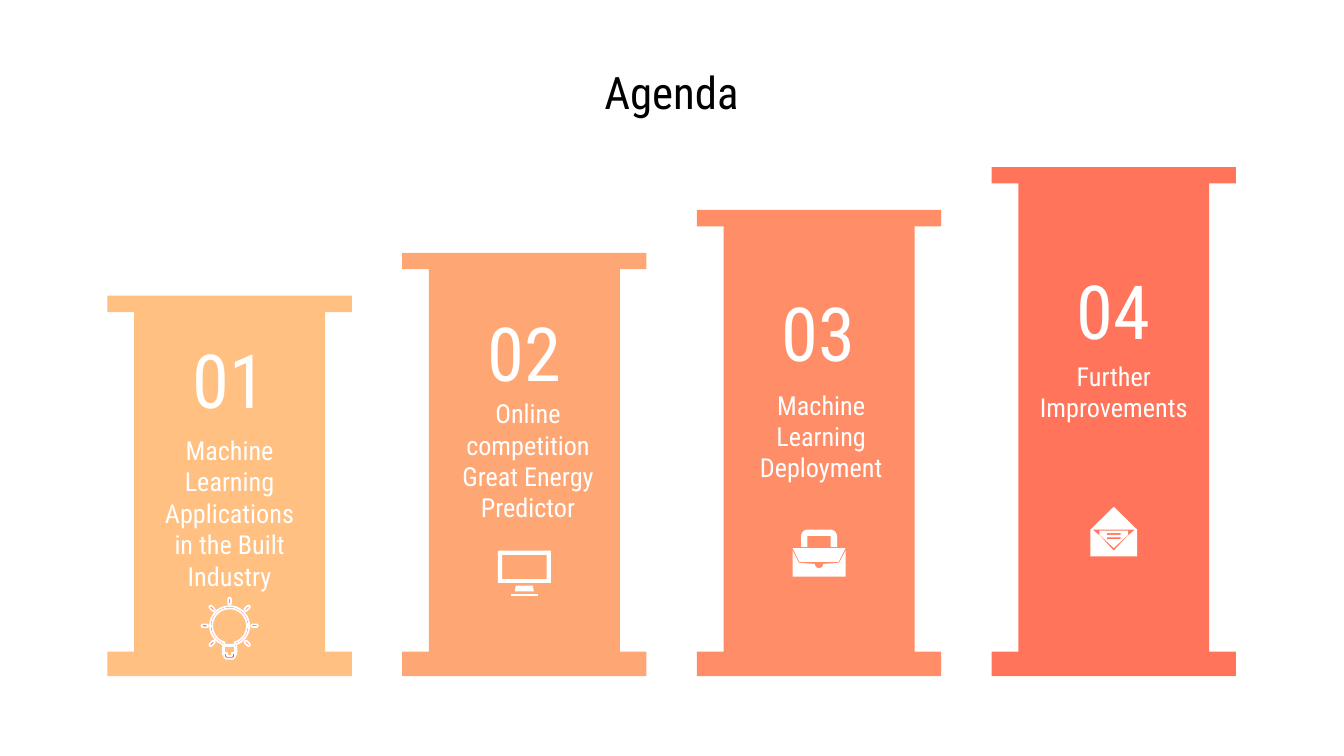
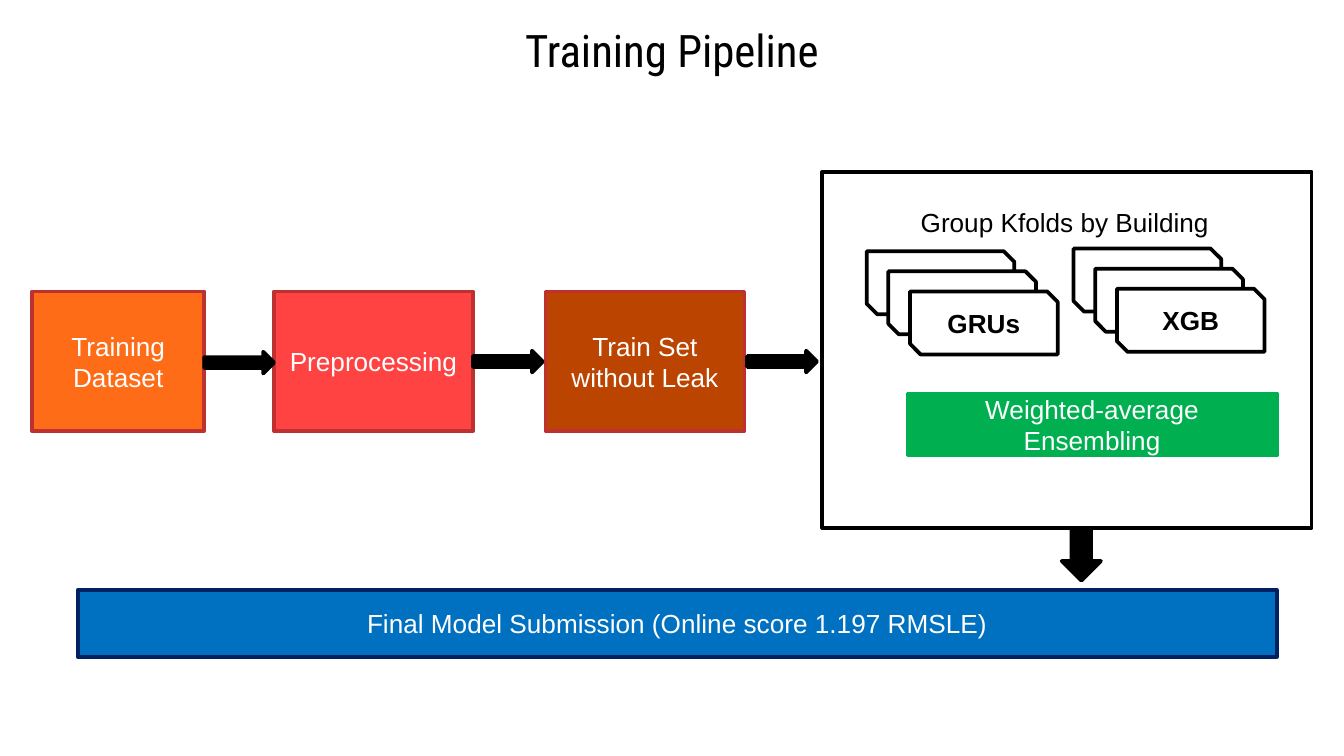
from dataclasses import dataclass
from math import cos, radians, sin

from lxml.etree import SubElement
from pptx import Presentation
from pptx.dml.color import RGBColor
from pptx.enum.shapes import MSO_SHAPE
from pptx.enum.text import MSO_ANCHOR, PP_ALIGN
from pptx.oxml.ns import qn
from pptx.shapes.autoshape import Shape
from pptx.slide import Slide
from pptx.util import Cm, Pt

Points = list[tuple[float, float]]


@dataclass(frozen=True)
class Theme:
    head: str = "Roboto Condensed"
    body: str = "Arial"
    title_size: int = 24
    digit_size: int = 40
    text_size: int = 14
    black: str = "000000"
    white: str = "FFFFFF"
    red: str = "FF4242"
    orange: str = "FF6C17"
    brown: str = "BA4400"
    edge: str = "BD3131"
    green: str = "00B050"
    blue: str = "0070C0"
    navy: str = "002060"
    steps: tuple[str, ...] = ("FFC081", "FFA774", "FF8E68", "FF745B")


THEME = Theme()


@dataclass(frozen=True)
class Box:
    left: float
    top: float
    width: float
    height: float


@dataclass(frozen=True)
class Style:
    font: str
    size: int
    color: str
    bold: bool = False
    align: PP_ALIGN = PP_ALIGN.CENTER


@dataclass(frozen=True)
class Pillar:
    label: str
    digit_top: float
    label_top: float
    label_width: float
    shift: float = 0


@dataclass(frozen=True)
class Block:
    text: str
    box: Box
    fill: str
    line: str


@dataclass(frozen=True)
class Stack:
    text: str
    left: float
    top: float


TITLE = Style(THEME.head, THEME.title_size, THEME.black)
DIGIT = Style(THEME.head, THEME.digit_size, THEME.white)
LABEL = Style(THEME.head, THEME.text_size, THEME.white)
LIGHT = Style(THEME.body, THEME.text_size, THEME.white)
DARK = Style(THEME.body, THEME.text_size, THEME.black, align=PP_ALIGN.LEFT)
STRONG = Style(THEME.body, THEME.text_size, THEME.black, bold=True)

PILLARS = (
    Pillar("Machine Learning Applications in the Built Industry", 6.63, 9.35, 3.35),
    Pillar("Online competition Great Energy Predictor", 6.12, 8.36, 3.35, 0.07),
    Pillar("Machine Learning Deployment", 5.74, 7.9, 3.73, 0.04),
    Pillar("Further Improvements", 5.31, 7.06, 3.81),
)
FIRST, PITCH = 4.34, 5.57
CAP_TOP, RISE, CAP_HIGH = 5.59, 0.81, 0.31
CAP_WIDE, SHAFT_WIDE = 4.62, 3.61
BASE_TOP, BASE_HIGH = 12.32, 0.46

BLOCKS = (
    Block("Training Dataset", Box(0.61, 5.51, 3.25, 2.64), THEME.orange, THEME.edge),
    Block("Preprocessing", Box(5.18, 5.51, 3.76, 2.64), THEME.red, THEME.edge),
    Block("Train Set without Leak", Box(10.31, 5.51, 3.76, 2.64), THEME.brown, THEME.edge),
    Block("", Box(15.54, 3.25, 9.25, 6.73), THEME.white, THEME.black),
    Block("Weighted-average Ensembling", Box(17.15, 7.44, 6.98, 1.17), THEME.green, THEME.green),
    Block("Final Model Submission (Online score 1.197 RMSLE)",
          Box(1.47, 11.15, 22.66, 1.27), THEME.blue, THEME.navy),
)
STACKS = (Stack("GRUs", 16.38, 4.75), Stack("XGB", 20.29, 4.7))
ARROWS = ((3.86, 6.65), (8.94, 6.63), (14.12, 6.63))


def paint(shape: Shape, fill: str, line: str = "", weight: float = 2) -> None:
    shape.shadow.inherit = False
    shape.fill.solid()
    shape.fill.fore_color.rgb = RGBColor.from_string(fill)
    if not line:
        shape.line.fill.background()
        return
    shape.line.color.rgb = RGBColor.from_string(line)
    shape.line.width = Pt(weight)
    SubElement(shape.line._get_or_add_ln(), qn("a:round"))


def write(shape: Shape, text: str, style: Style) -> None:
    frame = shape.text_frame
    frame.word_wrap = True
    para = frame.paragraphs[0]
    para.alignment = style.align
    run = para.add_run()
    run.text = text
    run.font.name = style.font
    run.font.size = Pt(style.size)
    run.font.bold = style.bold
    run.font.color.rgb = RGBColor.from_string(style.color)


def place(box: Box) -> tuple[Cm, Cm, Cm, Cm]:
    return Cm(box.left), Cm(box.top), Cm(box.width), Cm(box.height)


def add_form(slide: Slide, kind: MSO_SHAPE, box: Box, fill: str,
             line: str = "", weight: float = 2) -> Shape:
    shape = slide.shapes.add_shape(kind, *place(box))
    paint(shape, fill, line, weight)
    return shape


def add_text(slide: Slide, box: Box, text: str, style: Style) -> None:
    """Add a box with equal insets and text centred in its height."""
    shape = slide.shapes.add_textbox(*place(box))
    write(shape, text, style)
    frame = shape.text_frame
    frame.vertical_anchor = MSO_ANCHOR.MIDDLE
    frame.margin_left = frame.margin_right = Cm(0.25)
    frame.margin_top = frame.margin_bottom = Cm(0.25)


def arc(mid: float, radius: float, start: int, end: int, x: float = 0) -> Points:
    """Points along an arc; angles in degrees, clockwise from the right."""
    count = max(6, (end - start) // 10)
    turns = [radians(start + (end - start) * i / count) for i in range(count + 1)]
    return [(x + radius * cos(t), mid + radius * sin(t)) for t in turns]


def band(top: float, low: float, wide: float, foot: float = 0) -> Points:
    """A centred bar, or a trapezoid when the foot has its own half-width."""
    foot = foot or wide
    return [(-wide, top), (-foot, low), (foot, low), (wide, top)]


def flip(half: Points) -> Points:
    """Close a right half with its mirror image."""
    return half + [(-x, y) for x, y in reversed(half)]


def draw(slide: Slide, mid: float, loops: list[Points],
         fill: str = THEME.white, line: str = "") -> None:
    """Draw closed loops around a vertical axis; inner loops are holes."""
    paths = [[(Cm(mid + x), Cm(y)) for x, y in loop] for loop in loops]
    pen = slide.shapes.build_freeform(*paths[0][0])
    for i, path in enumerate(paths):
        if i:
            pen.move_to(*path[0])
        pen.add_line_segments(path[1:], close=True)
    paint(pen.convert_to_shape(), fill, line, 1)


def add_bulb(slide: Slide, mid: float) -> None:
    heart = 11.83
    glass = arc(heart, 0.37, 110, 430) + flip(
        [(0.13, 12.37), (0.1, 12.37), (0.1, 12.42), (0.07, 12.45)])
    hollow = arc(heart, 0.33, 107, 433) + [(0.1, 12.19), (-0.1, 12.19)]
    screw = flip([(0.1, 12.22), (0.1, 12.34), (0.05, 12.34), (0.05, 12.4)])
    draw(slide, mid, [glass, hollow, screw], THEME.red, THEME.white)
    long, thin, reach = 0.12, 0.05, 0.47
    for turn in range(135, 406, 45):
        x = mid + reach * cos(radians(turn))
        y = heart + reach * sin(radians(turn))
        ray = add_form(slide, MSO_SHAPE.ROUNDED_RECTANGLE,
                       Box(x - long / 2, y - thin / 2, long, thin),
                       THEME.red, THEME.white, 1)
        ray.adjustments[0] = 0.5
        ray.rotation = turn


def add_screen(slide: Slide, mid: float) -> None:
    draw(slide, mid, [band(10.41, 11.02, 0.5), band(10.49, 10.95, 0.42)])
    draw(slide, mid, [band(11.07, 11.18, 0.16, 0.18)])
    draw(slide, mid, [band(11.22, 11.27, 0.25)])


def add_case(slide: Slide, mid: float) -> None:
    draw(slide, mid, [band(10.36, 10.62, 0.5, 0.37)])
    sides = [(-0.38, 10.64), (-0.5, 10.41), (-0.5, 10.9),
             (0.5, 10.9), (0.5, 10.41), (0.38, 10.64)]
    draw(slide, mid, [sides + arc(10.66, 0.08, 0, 180)])
    grip = arc(10.14, 0.13, 270, 360, 0.21) + [(0.34, 10.34), (0.22, 10.34), (0.22, 10.13)]
    draw(slide, mid, [flip(grip)])


def add_mail(slide: Slide, mid: float) -> None:
    note = flip([(0.27, 10.03), (0.27, 10.11), (0, 10.36)])
    draw(slide, mid, [note, band(10.08, 10.11, 0.13), band(10.16, 10.19, 0.13)])
    cover = flip([(0, 9.58), (0.44, 10.01), (0.44, 10.52)])
    fold = flip([(0.4, 10.01), (0.26, 10.13), (0, 10.41)])
    draw(slide, mid, [cover, fold])


def add_pillar(slide: Slide, index: int, item: Pillar) -> None:
    mid = FIRST + index * PITCH
    top = CAP_TOP - index * RISE
    fill = THEME.steps[index]
    left = mid - CAP_WIDE / 2
    neck = top + CAP_HIGH
    parts = (
        Box(mid - SHAFT_WIDE / 2, neck - 0.02, SHAFT_WIDE, BASE_TOP - neck + 0.05),
        Box(left, top, CAP_WIDE, CAP_HIGH),
        Box(left, BASE_TOP, CAP_WIDE, BASE_HIGH),
    )
    for part in parts:
        add_form(slide, MSO_SHAPE.RECTANGLE, part, fill)
    add_text(slide, Box(mid - 1.68, item.digit_top, 3.35, 1.07), f"{index + 1:02}", DIGIT)
    start = mid + item.shift - item.label_width / 2
    add_text(slide, Box(start, item.label_top, item.label_width, 0.69), item.label, LABEL)


def add_stack(slide: Slide, item: Stack) -> None:
    for i in range(3):
        card = add_form(slide, MSO_SHAPE.SNIP_2_DIAG_RECTANGLE,
                        Box(item.left + i * 0.41, item.top + i * 0.38, 2.79, 1.19),
                        THEME.white, THEME.black)
    write(card, item.text, STRONG)


def add_agenda(slide: Slide) -> None:
    add_text(slide, Box(8.74, 1.14, 7.9, 1.17), "Agenda", TITLE)
    icons = (add_bulb, add_screen, add_case, add_mail)
    for i, (item, icon) in enumerate(zip(PILLARS, icons)):
        add_pillar(slide, i, item)
        icon(slide, FIRST + i * PITCH)


def add_flow(slide: Slide) -> None:
    add_text(slide, Box(0.61, 0.36, 24.18, 1.17), "Training Pipeline", TITLE)
    for block in BLOCKS:
        shape = add_form(slide, MSO_SHAPE.RECTANGLE, block.box, block.fill, block.line)
        if block.text:
            write(shape, block.text, LIGHT)
    for item in STACKS:
        add_stack(slide, item)
    for left, top in ARROWS:
        add_form(slide, MSO_SHAPE.RIGHT_ARROW, Box(left, top, 1.32, 0.41),
                 THEME.black, THEME.black)
    down = add_form(slide, MSO_SHAPE.RIGHT_ARROW, Box(19.94, 10.11, 0.99, 0.74),
                    THEME.black, THEME.black)
    down.rotation = 90
    add_text(slide, Box(17.15, 3.76, 6.1, 0.86), "Group Kfolds by Building", DARK)


def main() -> None:
    deck = Presentation()
    deck.slide_width, deck.slide_height = Cm(25.4), Cm(14.29)
    for build in (add_agenda, add_flow):
        build(deck.slides.add_slide(deck.slide_layouts[6]))
    deck.save("out.pptx")


if __name__ == "__main__":
    main()
